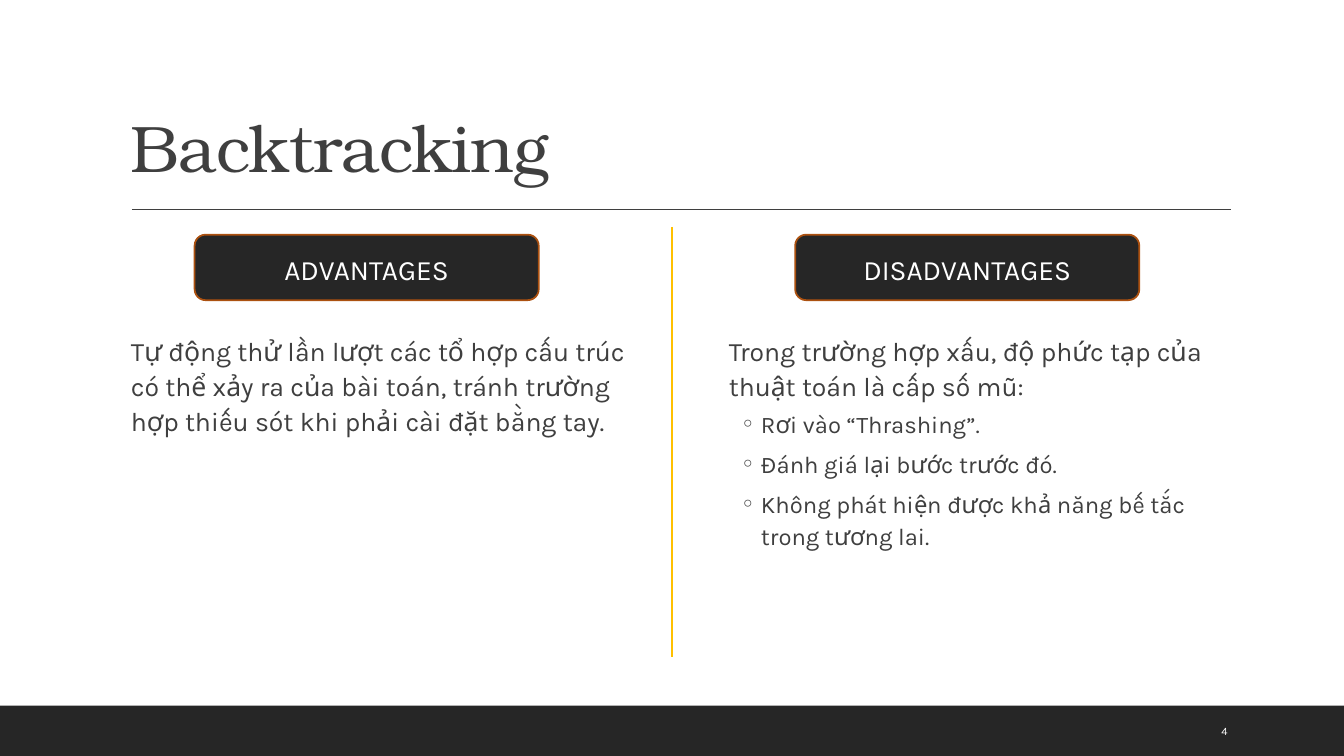
from pptx import Presentation
from pptx.dml.color import RGBColor
from pptx.enum.shapes import MSO_CONNECTOR, MSO_SHAPE
from pptx.enum.text import MSO_ANCHOR as Anchor, PP_ALIGN as Align
from pptx.oxml.ns import qn
from pptx.util import Pt
from lxml.etree import SubElement

DARK = RGBColor(0x26, 0x26, 0x26)
GREY = RGBColor(0x3F, 0x3F, 0x3F)
RUST = RGBColor(0xAC, 0x51, 0x10)
GOLD = RGBColor(0xFF, 0xC0, 0x00)
WHITE = RGBColor(0xFF, 0xFF, 0xFF)


def set_frame(box, anchor, side=7.2):
    frame = box.text_frame
    frame.word_wrap = True
    frame.vertical_anchor = anchor
    frame.margin_left = frame.margin_right = Pt(side)
    frame.margin_top = frame.margin_bottom = Pt(3.6)
    return frame


def add_span(para, text, size, color, font="Karla"):
    span = para.add_run()
    span.text = text
    span.font.size = Pt(size)
    span.font.name = font
    span.font.color.rgb = color
    return span


deck = Presentation()
deck.slide_width, deck.slide_height = Pt(960), Pt(540)
page = deck.slides.add_slide(deck.slide_layouts[6])

# Footer band
band = page.shapes.add_shape(MSO_SHAPE.RECTANGLE, 0, Pt(504), Pt(960), Pt(36))
band.shadow.inherit = False
band.fill.solid()
band.fill.fore_color.rgb = DARK
band.line.fill.background()

# Title rule and column divider
for x1, y1, x2, y2, color in [(94.3, 149.6, 879, 149.6, GREY),
                              (480, 162, 480, 469, GOLD)]:
    rule = page.shapes.add_connector(MSO_CONNECTOR.STRAIGHT,
                                     Pt(x1), Pt(y1), Pt(x2), Pt(y2))
    rule.line.color.rgb = color
    rule.line.width = Pt(1)
    SubElement(rule._element.spPr, qn("a:effectLst"))

# Title
title = page.shapes.add_textbox(Pt(86.4), Pt(22.3), Pt(792), Pt(114.5))
para = set_frame(title, Anchor.BOTTOM).paragraphs[0]
para.line_spacing = 0.9
span = add_span(para, "Backtracking", 47, GREY, "TeX Gyre Bonum")
span.font._element.set("spc", "-50")

# Two columns: heading pill, statement, bulleted points
columns = [
    (139, 86.4, "ADVANTAGES",
     "Tự động thử lần lượt các tổ hợp cấu trúc có thể xảy ra của bài toán, "
     "tránh trường hợp thiếu sót khi phải cài đặt bằng tay.", []),
    (568, 513.4, "DISADVANTAGES",
     "Trong trường hợp xấu, độ phức tạp của thuật toán là cấp số mũ:",
     ["Rơi vào “Thrashing”.",
      "Đánh giá lại bước trước đó.",
      "Không phát hiện được khả năng bế tắc trong tương lai."]),
]
for pill_left, body_left, heading, statement, points in columns:
    pill = page.shapes.add_shape(MSO_SHAPE.ROUNDED_RECTANGLE,
                                 Pt(pill_left), Pt(167.6), Pt(245.8), Pt(46.8))
    pill.shadow.inherit = False
    pill.fill.solid()
    pill.fill.fore_color.rgb = DARK
    pill.line.color.rgb = RUST
    pill.line.width = Pt(1.25)
    para = set_frame(pill, Anchor.MIDDLE).paragraphs[0]
    para.alignment = Align.CENTER
    para.line_spacing = 1.1
    add_span(para, heading, 20, WHITE)

    body = page.shapes.add_textbox(Pt(body_left), Pt(233.3), Pt(365), Pt(229))
    frame = set_frame(body, Anchor.TOP, side=0)
    para = frame.paragraphs[0]
    para.line_spacing = 1.1
    para._p.get_or_add_pPr().set("marL", str(Pt(7.2)))
    add_span(para, statement, 19, GREY)
    for number, point in enumerate(points):
        para = frame.add_paragraph()
        para.level = 1
        para.line_spacing = 1.1
        para.space_before = Pt(6 if number else 4)
        props = para._p.get_or_add_pPr()
        props.set("marL", str(Pt(30.2)))
        props.set("indent", str(Pt(-14.4)))
        SubElement(props, qn("a:buFont"), typeface="Karla")
        SubElement(props, qn("a:buChar"), char="◦")
        add_span(para, point, 17, GREY)

# Page number
number_box = page.shapes.add_textbox(Pt(865.4), Pt(507.6), Pt(61.2), Pt(28.8))
para = set_frame(number_box, Anchor.MIDDLE).paragraphs[0]
add_span(para, "4", 8, WHITE)

deck.save("out.pptx")
